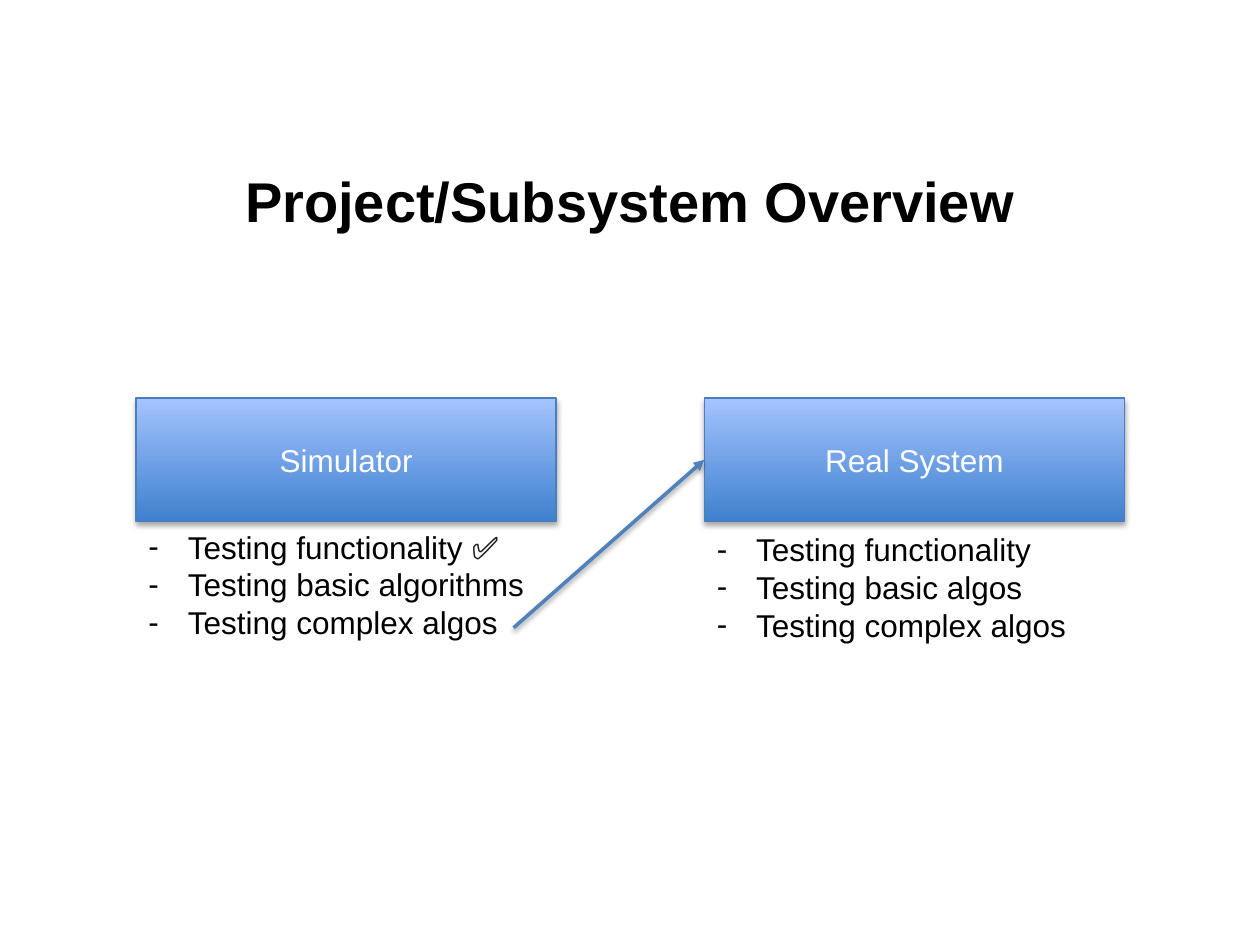
from pptx import Presentation
from pptx.dml.color import RGBColor
from pptx.enum.shapes import MSO_CONNECTOR, MSO_SHAPE
from pptx.enum.text import MSO_ANCHOR, MSO_AUTO_SIZE, PP_ALIGN
from pptx.oxml import parse_xml
from pptx.oxml.ns import nsdecls
from pptx.util import Pt

BLACK = RGBColor(0x00, 0x00, 0x00)
WHITE = RGBColor(0xFF, 0xFF, 0xFF)
CHECK_GREY = RGBColor(0x20, 0x21, 0x24)
BOX_BOTTOM = RGBColor(0x3F, 0x80, 0xCE)
BOX_TOP = RGBColor(0xA4, 0xC4, 0xFF)
BOX_LINE = RGBColor(0x4B, 0x7E, 0xBC)
ARROW_BLUE = RGBColor(0x4F, 0x81, 0xBD)

LEFT_X, RIGHT_X = 77.75, 402.5
BOX_Y, BOX_W, BOX_H = 227.5, 240, 70.5


def add_run(p, text, size=18, font="Arial", color=BLACK, bold=False):
    r = p.add_run()
    r.text = text
    r.font.size = Pt(size)
    r.font.name = font
    r.font.color.rgb = color
    r.font.bold = bold


def add_shadow(shape, alpha, dist):
    shape._element.spPr.append(parse_xml(
        f'<a:effectLst {nsdecls("a")}>'
        f'<a:outerShdw blurRad="{Pt(3.1)}" dist="{Pt(dist)}" dir="5400000" rotWithShape="0">'
        f'<a:srgbClr val="000000"><a:alpha val="{alpha * 1000}"/></a:srgbClr>'
        '</a:outerShdw></a:effectLst>'))


def add_title(s, text):
    tf = s.shapes.add_textbox(Pt(36), Pt(82.8), Pt(648), Pt(63.4)).text_frame
    tf.word_wrap = True
    tf.vertical_anchor = MSO_ANCHOR.MIDDLE
    p = tf.paragraphs[0]
    p.alignment = PP_ALIGN.CENTER
    add_run(p, text, size=32, bold=True)


def add_box(s, x, text):
    sp = s.shapes.add_shape(MSO_SHAPE.RECTANGLE, Pt(x), Pt(BOX_Y), Pt(BOX_W), Pt(BOX_H))
    sp.fill.gradient()
    sp.fill.gradient_angle = 90
    for stop, color in zip(sp.fill.gradient_stops, (BOX_BOTTOM, BOX_TOP)):
        stop.color.rgb = color
    sp.line.color.rgb = BOX_LINE
    sp.line.width = Pt(0.75)
    add_shadow(sp, 35, 1.8)
    tf = sp.text_frame
    tf.vertical_anchor = MSO_ANCHOR.MIDDLE
    p = tf.paragraphs[0]
    p.alignment = PP_ALIGN.CENTER
    add_run(p, text, color=WHITE)
    return sp


def add_dash_list(s, x, y, height, items):
    tf = s.shapes.add_textbox(Pt(x), Pt(y), Pt(BOX_W), Pt(height)).text_frame
    tf.word_wrap = True
    tf.auto_size = MSO_AUTO_SIZE.SHAPE_TO_FIT_TEXT
    for i, item in enumerate(items):
        p = tf.add_paragraph() if i else tf.paragraphs[0]
        pPr = p._p.get_or_add_pPr()
        pPr.set("marL", str(Pt(22.5)))
        pPr.set("indent", str(-Pt(22.5)))
        pPr.append(parse_xml(f'<a:buFont {nsdecls("a")} typeface="Arial"/>'))
        pPr.append(parse_xml(f'<a:buChar {nsdecls("a")} char="-"/>'))
        add_run(p, item)
    return tf


def add_arrow(s, x, y, target):
    c = s.shapes.add_connector(MSO_CONNECTOR.STRAIGHT, Pt(x), Pt(y),
                               Pt(RIGHT_X), Pt(BOX_Y + BOX_H / 2))
    c.end_connect(target, 1)
    c.line.color.rgb = ARROW_BLUE
    c.line.width = Pt(2)
    c.line._get_or_add_ln().append(
        parse_xml(f'<a:tailEnd {nsdecls("a")} type="triangle"/>'))
    add_shadow(c, 38, 1.6)


def main():
    prs = Presentation()
    prs.slide_width, prs.slide_height = Pt(720), Pt(540)
    s = prs.slides.add_slide(prs.slide_layouts[6])

    add_title(s, "Project/Subsystem Overview")

    # The two stages
    add_box(s, LEFT_X, "Simulator")
    real_system = add_box(s, RIGHT_X, "Real System")

    # Simulator tests, the first one done
    tf = add_dash_list(s, LEFT_X, 298, 94.5, [
        "Testing functionality ", "Testing basic algorithms", "Testing complex algos"])
    add_run(tf.paragraphs[0], "✅", font="Roboto", color=CHECK_GREY, bold=True)

    # Step from simulator to real system
    add_arrow(s, 293.5, 358.75, real_system)

    # Real system tests
    add_dash_list(s, RIGHT_X, 299.5, 72.7, [
        "Testing functionality", "Testing basic algos", "Testing complex algos"])

    prs.save("out.pptx")


if __name__ == "__main__":
    main()
